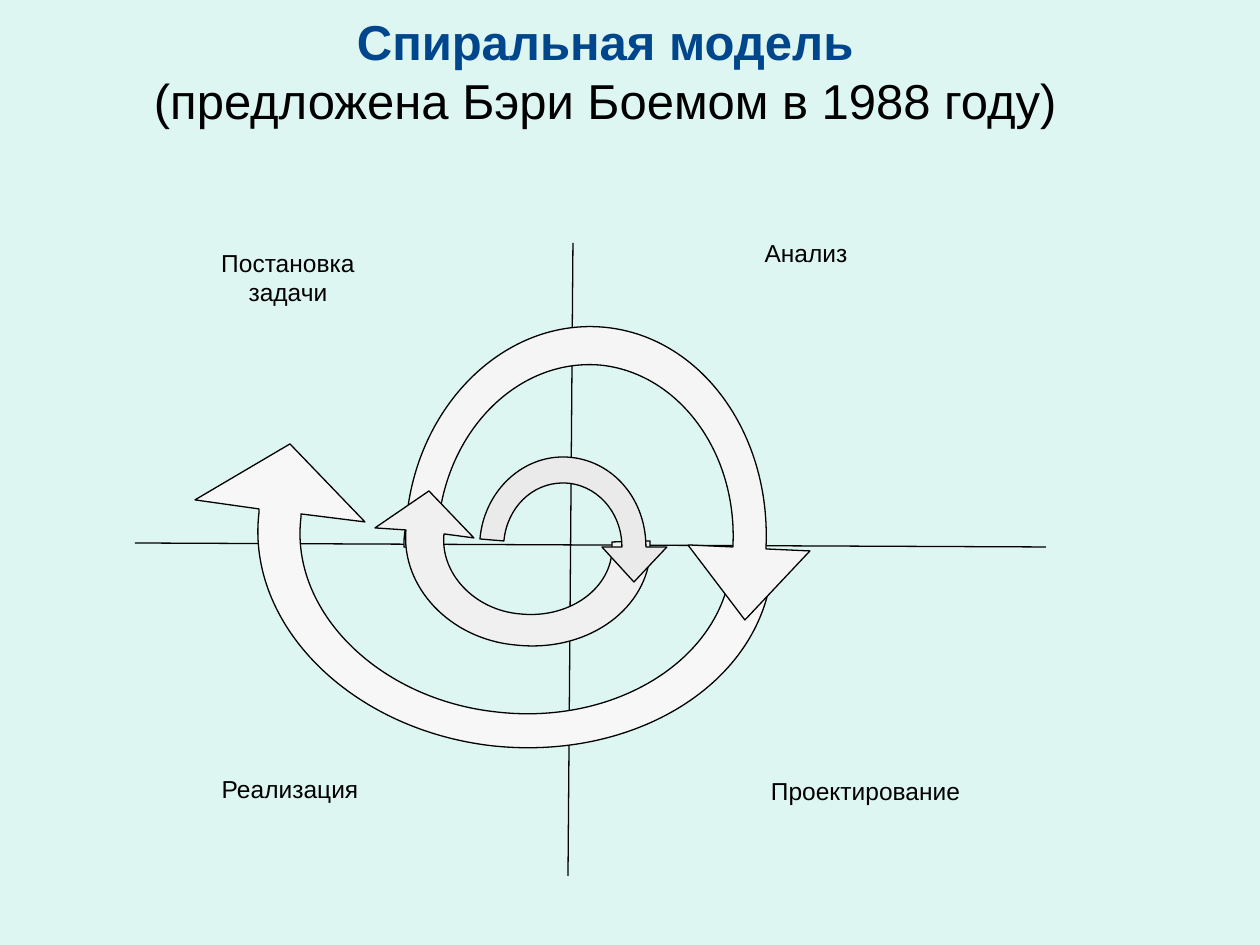
"""Build the spiral model slide: two axes, four quadrant labels, four arc arrows."""
import pptx
import pptx.dml.color
import pptx.enum.text
import pptx.enum.shapes
import pptx.oxml
import pptx.oxml.ns
import pptx.util

PX = 914400 / 126
FONT = "Arial"

MINT = pptx.dml.color.RGBColor(0xDE, 0xF6, 0xF1)
NAVY = pptx.dml.color.RGBColor(0x00, 0x46, 0x8C)
BLACK = pptx.dml.color.RGBColor(0x00, 0x00, 0x00)
GREY_OUTER = pptx.dml.color.RGBColor(0xF7, 0xF7, 0xF7)
GREY_SECOND = pptx.dml.color.RGBColor(0xF5, 0xF5, 0xF5)
GREY_THIRD = pptx.dml.color.RGBColor(0xF0, 0xF0, 0xF0)
GREY_INNER = pptx.dml.color.RGBColor(0xEA, 0xEA, 0xEA)

LABELS = [
    ((135, 244, 306, 111), 4, ["Постановка", "задачи"]),
    ((653, 234, 306, 111), 4, ["Анализ"]),
    ((735, 776, 268, 67), 0, ["Проектирование "]),
    ((137, 770, 306, 111), 4, ["Реализация"]),
]

AXES = [((573, 243), (568, 876)), ((135, 543), (1046, 547))]

SPIRAL_ARROWS = [
    (GREY_OUTER, (301, 514), [
        [(301, 515), (301, 517), (301, 518)],
        [(290, 611), (378, 699), (496, 712)],
        [(615, 726), (721, 660), (731, 567)],
        [(732, 563), (732, 560), (732, 557)],
        [(774, 561)],
        [(774, 564), (774, 568), (772, 571)],
        [(760, 684), (635, 761), (493, 746)],
        [(351, 730), (246, 625), (259, 513)],
        [(259, 512), (259, 510), (259, 509)],
        [(195, 500)], [(290, 444)], [(365, 522)],
    ]),
    (GREY_SECOND, (733, 547), [
        [(738, 452), (678, 372), (599, 365)],
        [(517, 359), (445, 432), (438, 529)],
        [(437, 534), (437, 540), (437, 546)],
        [(404, 547)],
        [(404, 541), (404, 534), (406, 527)],
        [(413, 410), (501, 320), (601, 327)],
        [(699, 334), (772, 432), (766, 549)],
        [(810, 551)], [(745, 620)], [(688, 545)],
    ]),
    (GREY_THIRD, (444, 534), [
        [(440, 573), (474, 610), (520, 614)],
        [(567, 619), (609, 591), (612, 552)],
        [(612, 548), (612, 545), (612, 542)],
        [(650, 541)],
        [(650, 546), (650, 550), (650, 556)],
        [(644, 612), (585, 653), (515, 645)],
        [(450, 639), (401, 587), (406, 530)],
        [(375, 528)], [(429, 491)], [(474, 538)],
    ]),
    (GREY_INNER, (622, 547), [
        [(622, 512), (596, 483), (563, 483)],
        [(532, 483), (507, 508), (504, 541)],
        [(480, 539)],
        [(484, 493), (520, 457), (563, 457)],
        [(609, 457), (646, 496), (646, 547)],
        [(667, 547)], [(634, 582)], [(602, 547)],
    ]),
]


def emu(px):
    """Turn pixels into EMU."""
    return pptx.util.Emu(round(px * PX))


def add_text_frame(slide, box, inset):
    """Add a wrapping text box and return its text frame."""
    frame = slide.shapes.add_textbox(*map(emu, box)).text_frame
    frame.word_wrap = True
    frame.margin_left = frame.margin_right = emu(inset)
    frame.margin_top = frame.margin_bottom = emu(inset)
    return frame


def add_run(paragraph, text, size, color, bold=False):
    """Add one styled run to a centred paragraph."""
    paragraph.alignment = pptx.enum.text.PP_ALIGN.CENTER
    run = paragraph.add_run()
    run.text = text
    run.font.name = FONT
    run.font.size = pptx.util.Pt(size)
    run.font.bold = bold
    run.font.color.rgb = color


def add_title(slide):
    """Add the two-line heading."""
    frame = add_text_frame(slide, (45, 6, 1134, 129), 6)
    frame.vertical_anchor = pptx.enum.text.MSO_ANCHOR.MIDDLE
    heading = frame.paragraphs[0]
    add_run(heading, "Спиральная модель ", 28, NAVY, bold=True)
    heading.add_line_break()
    add_run(heading, "(предложена Бэри Боемом в 1988 году) ", 28, BLACK)


def add_label(slide, box, inset, lines):
    """Add a quadrant label with one paragraph per line."""
    frame = add_text_frame(slide, box, inset)
    for index, line in enumerate(lines):
        paragraph = frame.add_paragraph() if index else frame.paragraphs[0]
        add_run(paragraph, line, 14, BLACK)


def set_outline(line):
    """Give a line the thin black stroke."""
    line.color.rgb = BLACK
    line.width = pptx.util.Pt(0.75)


def add_axis(slide, start, end):
    """Add a straight axis line without shadow."""
    axis = slide.shapes.add_connector(
        pptx.enum.shapes.MSO_CONNECTOR.STRAIGHT, *map(emu, start + end))
    set_outline(axis.line)
    axis.element.spPr.append(pptx.oxml.parse_xml(
        '<a:effectLst xmlns:a="http://schemas.openxmlformats.org/drawingml/2006/main"/>'))


def bend_edges(arrow, steps):
    """Join the edges of each three-point step into one cubic curve."""
    edges = iter(arrow.element.xpath(".//a:path/a:lnTo"))
    for step in steps:
        step_edges = [next(edges) for _ in step]
        if len(step) == 3:
            outline = step_edges[0].getparent()
            curve = outline.makeelement(pptx.oxml.ns.qn("a:cubicBezTo"), {})
            outline.insert(outline.index(step_edges[0]), curve)
            for edge in step_edges:
                curve.append(edge[0])
                outline.remove(edge)


def add_spiral_arrow(slide, color, start, steps):
    """Add one closed arc arrow; a step is a straight edge or a cubic curve."""
    builder = slide.shapes.build_freeform(*map(emu, start))
    builder.add_line_segments([tuple(map(emu, point)) for step in steps for point in step])
    arrow = builder.convert_to_shape()
    bend_edges(arrow, steps)
    outline = arrow.element.xpath(".//a:path")[0]
    if not outline.xpath("a:close"):
        outline.append(outline.makeelement(pptx.oxml.ns.qn("a:close"), {}))
    arrow.shadow.inherit = False
    arrow.fill.solid()
    arrow.fill.fore_color.rgb = color
    set_outline(arrow.line)


def main():
    """Assemble and save the slide."""
    deck = pptx.Presentation()
    deck.slide_width, deck.slide_height = emu(1260), emu(945)
    slide = deck.slides.add_slide(deck.slide_layouts[6])
    slide.background.fill.solid()
    slide.background.fill.fore_color.rgb = MINT
    add_title(slide)
    for label in LABELS:
        add_label(slide, *label)
    for axis in AXES:
        add_axis(slide, *axis)
    for arrow in SPIRAL_ARROWS:
        add_spiral_arrow(slide, *arrow)
    deck.save("out.pptx")


if __name__ == "__main__":
    main()
